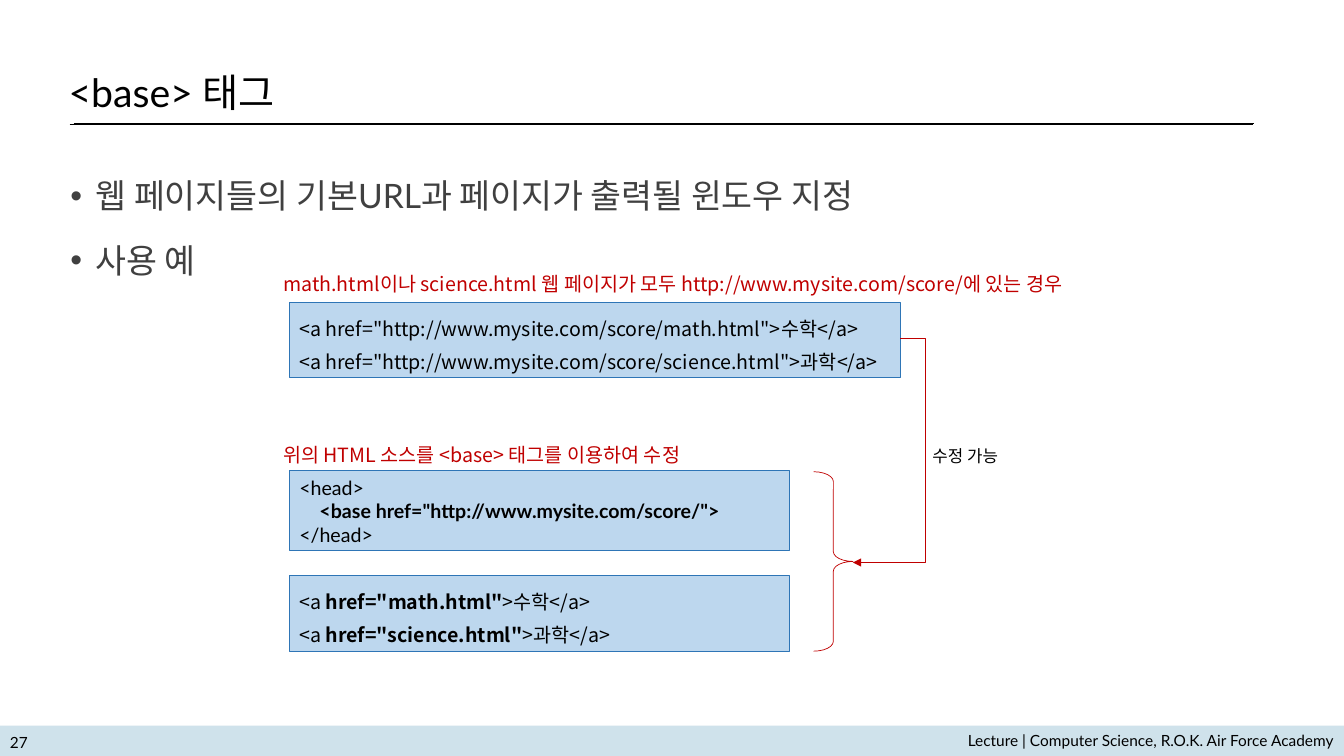
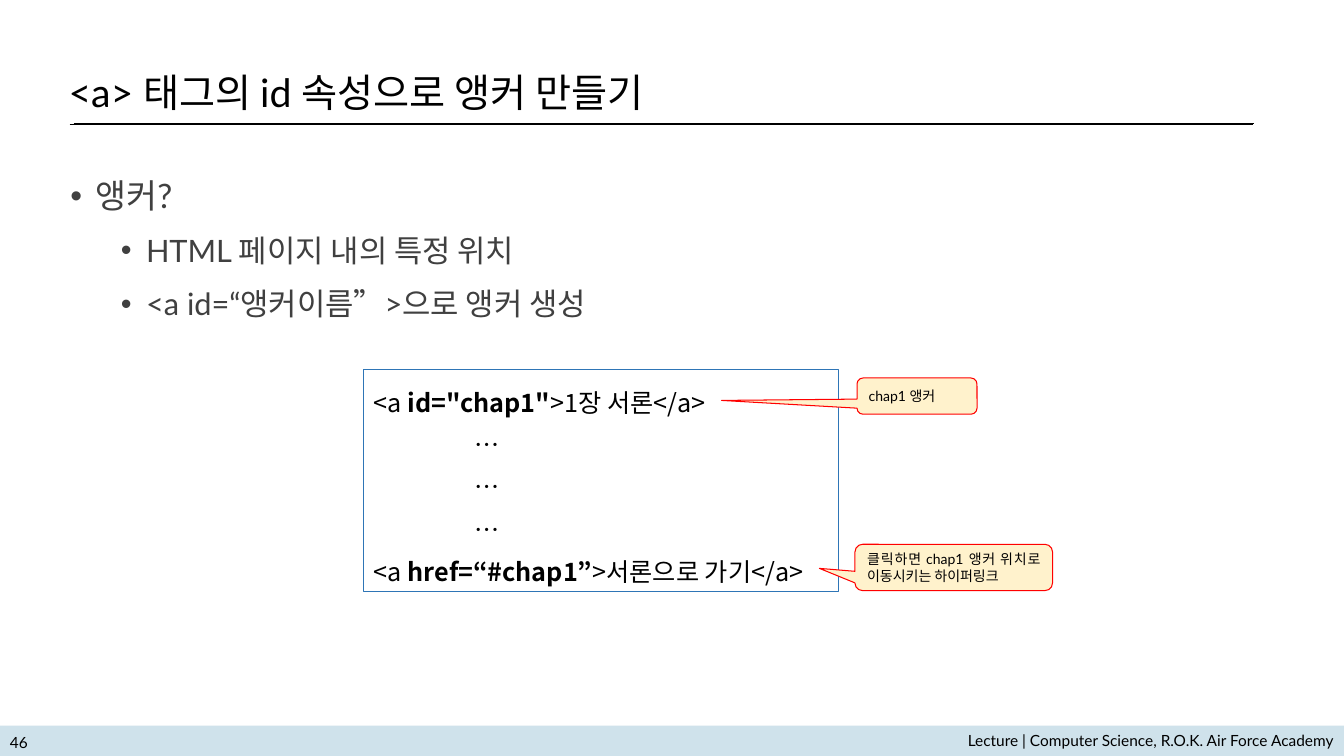
from lxml import etree
from pptx import Presentation
from pptx.dml.color import RGBColor
from pptx.enum.shapes import MSO_CONNECTOR, MSO_SHAPE
from pptx.enum.text import MSO_ANCHOR, PP_ALIGN
from pptx.oxml.ns import qn
from pptx.util import Inches, Pt

RECT, BRACE = MSO_SHAPE.RECTANGLE, MSO_SHAPE.RIGHT_BRACE
CALLOUT = MSO_SHAPE.ROUNDED_RECTANGULAR_CALLOUT
STRAIGHT, ELBOW = MSO_CONNECTOR.STRAIGHT, MSO_CONNECTOR.ELBOW
MIDDLE, TOP = MSO_ANCHOR.MIDDLE, MSO_ANCHOR.TOP
LEFT, RIGHT, JUSTIFY = PP_ALIGN.LEFT, PP_ALIGN.RIGHT, PP_ALIGN.JUSTIFY

W, H = 13.33, 7.5
BAND_H = 0.3
LATO, NOTO = "Lato", "Noto Sans CJK KR"
COLORS = {
    "black": "000000", "body": "404040", "band": "CFE2EB", "code": "BDD7EE",
    "code_edge": "2E75B6", "red": "C00000", "note": "FFF2CC", "note_edge": "FF0000",
}
FOOTER = "Lecture | Computer Science, R.O.K. Air Force Academy"

BASE = {
    "number": "27",
    "title": "<base> 태그",
    "bullets": [(0, "웹 페이지들의 기본URL과 페이지가 출력될 윈도우 지정"), (0, "사용 예")],
}
ANCHOR = {
    "number": "46",
    "title": "<a> 태그의 id 속성으로 앵커 만들기",
    "bullets": [
        (0, "앵커?"),
        (1, "HTML 페이지 내의 특정 위치"),
        (1, "<a id=“앵커이름”>으로 앵커 생성"),
    ],
}
CAPTIONS = [
    (2.51, "math.html이나 science.html 웹 페이지가 모두 http://www.mysite.com/score/에 있는 경우"),
    (4.21, "위의 HTML 소스를 <base> 태그를 이용하여 수정"),
]
BASE_CODE = [
    ((2.87, 3, 6.06, 0.75), NOTO, 1.4, [
        '<a href="http://www.mysite.com/score/math.html">수학</a>',
        '<a href="http://www.mysite.com/score/science.html">과학</a>',
    ]),
    ((2.87, 4.67, 4.96, 0.79), LATO, 1, [
        "<head>",
        '\t**<base href="http://www.mysite.com/score/">**',
        "</head>",
    ]),
    ((2.87, 5.71, 4.96, 0.75), NOTO, 1.4, [
        '<a **href="math.html"**>수학</a>',
        '<a **href="science.html"**>과학</a>',
    ]),
]
ANCHOR_CODE = [
    '<a **id="chap1"**>1장 서론</a>', "\t…", "\t…", "\t…",
    "<a **href=“#chap1”**>서론으로 가기</a>",
]
CALLOUTS = [
    ((8.5, 3.75, 1.19, 0.36), (-1.63, 0.12), "chap1 앵커"),
    ((8.48, 5.4, 1.96, 0.46), (-0.68, 0.02), "클릭하면 chap1 앵커 위치로 이동시키는 하이퍼링크"),
]
LEVELS = [
    {"size": 24, "margin": 0.25, "before": 10},
    {"size": 22, "margin": 0.75, "before": 5},
]


def rgb(name):
    return RGBColor.from_string(COLORS[name])


def add_runs(p, text, size, color="black", face=LATO):
    for i, part in enumerate(text.split("**")):
        if not part:
            continue
        r = p.add_run()
        r.text = part
        for key, value in {"size": Pt(size), "name": face, "bold": i % 2 == 1}.items():
            setattr(r.font, key, value)
        r.font.color.rgb = rgb(color)
        east = etree.SubElement(r.font._element, qn("a:ea"))
        east.set("typeface", NOTO)


def set_indent(p, margin, indent):
    ppr = p._p.get_or_add_pPr()
    ppr.set("marL", str(Inches(margin)))
    ppr.set("indent", str(Inches(indent)))
    return ppr


def write(sp, lines, size, color="black", face=LATO, align=LEFT,
          anchor=TOP, spacing=None, tab=None):
    tf = sp.text_frame
    tf.word_wrap = True
    tf.vertical_anchor = anchor
    for i, line in enumerate(lines):
        p = tf.paragraphs[0] if i == 0 else tf.add_paragraph()
        p.alignment = align
        if spacing:
            p.line_spacing = spacing
        if tab:
            tabs = etree.SubElement(p._p.get_or_add_pPr(), qn("a:tabLst"))
            etree.SubElement(tabs, qn("a:tab"), pos=str(Inches(tab)), algn="l")
        add_runs(p, line, size, color, face)
    return tf


def add_box(s, box):
    return s.shapes.add_textbox(*map(Inches, box))


def add_panel(s, kind, box, fill=None, edge=None, width=0.75):
    sp = s.shapes.add_shape(kind, *map(Inches, box))
    sp.shadow.inherit = False
    if fill:
        sp.fill.solid()
        sp.fill.fore_color.rgb = rgb(fill)
    else:
        sp.fill.background()
    if edge:
        sp.line.color.rgb = rgb(edge)
        sp.line.width = Pt(width)
    else:
        sp.line.fill.background()
    return sp


def add_line(s, kind, start, end, color):
    line = s.shapes.add_connector(kind, *map(Inches, start + end))
    line.line.color.rgb = rgb(color)
    line.line.width = Pt(0.5)
    etree.SubElement(line._element.spPr, qn("a:effectLst"))
    return line


def add_bullets(s, bullets):
    tf = add_box(s, (0.6, 1.59, 11.82, 5.16)).text_frame
    tf.word_wrap = True
    for i, (level, text) in enumerate(bullets):
        style = LEVELS[level]
        p = tf.paragraphs[0] if i == 0 else tf.add_paragraph()
        ppr = set_indent(p, style["margin"], -0.25)
        etree.SubElement(ppr, qn("a:buFont"), typeface="Arial")
        etree.SubElement(ppr, qn("a:buChar"), char="•")
        p.level = level
        p.line_spacing = 1.25
        if i:
            p.space_before = Pt(style["before"])
        add_runs(p, text, style["size"], "body")


def add_page(prs, page):
    s = prs.slides.add_slide(prs.slide_layouts[6])
    add_panel(s, RECT, (0, H - BAND_H, W, BAND_H), "band")
    write(add_box(s, (0.76, H - BAND_H, W - 0.76, 0.28)), [FOOTER], 11, align=RIGHT)
    for left, right, y in [(0.73, 12.44, 1.22), (0.69, 12.43, 1.23)]:
        add_line(s, STRAIGHT, (left, y), (right, y), "black")
    add_bullets(s, page["bullets"])
    write(add_box(s, (0, 7.24, 0.76, 0.24)), [page["number"]], 11, anchor=MIDDLE)
    tf = write(add_box(s, (0.61, 0.73, 11.8, 0.42)), [page["title"]], 28,
               anchor=MIDDLE, spacing=0.9)
    for side in ("left", "top", "right", "bottom"):
        setattr(tf, "margin_" + side, 0)
    set_indent(tf.paragraphs[0], 0, 0.07)
    return s


def build_base(prs):
    s = add_page(prs, BASE)
    for box, face, spacing, lines in BASE_CODE:
        write(add_panel(s, RECT, box, "code", "code_edge"), lines, 14,
              face=face, spacing=spacing, tab=0.2)
    for top, text in CAPTIONS:
        write(add_box(s, (2.71, top, 8.35, 0.47)), [text], 14, "red", NOTO, spacing=1.6)
    brace = add_panel(s, BRACE, (8.07, 4.68, 0.39, 1.78), edge="red", width=0.5)
    brace.adjustments[0] = 0.25
    arrow = add_line(s, ELBOW, (8.93, 3.36), (8.46, 5.58), "red")
    guides = arrow._element.spPr.find(qn("a:prstGeom")).get_or_add_avLst()
    etree.SubElement(guides, qn("a:gd"), name="adj1", fmla="val -53000")
    etree.SubElement(arrow.line._get_or_add_ln(), qn("a:tailEnd"), type="triangle")
    write(add_box(s, (9.15, 4.37, 0.93, 0.3)), ["수정 가능"], 12)


def build_anchor(prs):
    s = add_page(prs, ANCHOR)
    write(add_panel(s, RECT, (3.61, 3.67, 4.71, 2.2), edge="code_edge"), ANCHOR_CODE, 18,
          face=NOTO, spacing=1.4, tab=1)
    for box, tip, text in CALLOUTS:
        sp = add_panel(s, CALLOUT, box, "note", "note_edge")
        for i, value in enumerate(tip):
            sp.adjustments[i] = value
        write(sp, [text], 10, align=JUSTIFY, anchor=MIDDLE)


def main():
    prs = Presentation()
    prs.slide_width, prs.slide_height = Inches(W), Inches(H)
    build_base(prs)
    build_anchor(prs)
    prs.save("out.pptx")


if __name__ == "__main__":
    main()
